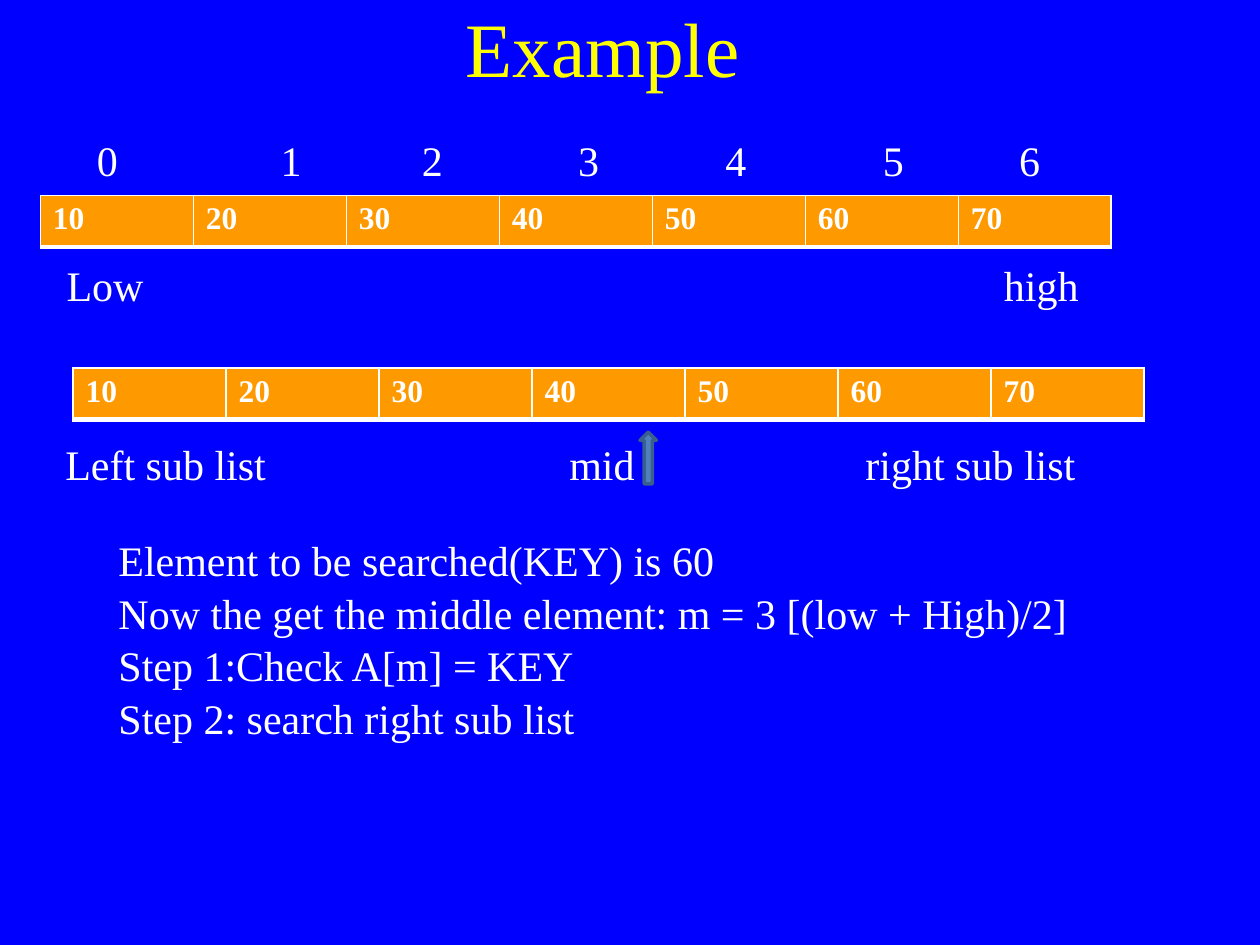
from dataclasses import dataclass

from lxml.etree import SubElement
from pptx import Presentation
from pptx.dml.color import RGBColor
from pptx.enum.shapes import MSO_SHAPE as Shape
from pptx.enum.text import MSO_ANCHOR as Anchor, MSO_AUTO_SIZE as Fit, PP_ALIGN as Align
from pptx.oxml.ns import qn
from pptx.util import Inches, Pt

BLUE = RGBColor(0x00, 0x00, 0xFF)
YELLOW = RGBColor(0xFF, 0xFF, 0x00)
WHITE = RGBColor(0xFF, 0xFF, 0xFF)
ORANGE = RGBColor(0xFF, 0x99, 0x00)
STEEL = RGBColor(0x4F, 0x81, 0xBD)
NAVY = RGBColor(0x3A, 0x5F, 0x8C)
FONT = "Times New Roman"
VALUES = range(10, 80, 10)
BORDERS = {"a:lnL": 0.96, "a:lnR": 0.96, "a:lnT": 0.96, "a:lnB": 3}


@dataclass
class Label:
    left: float
    top: float
    width: float
    text: str
    tabs: list[float]


@dataclass
class Array:
    left: float
    top: float


LABELS = [
    Label(0.58, 1, 8.5, "\t" + "\t".join(map(str, range(7))),
          [0.09, 1.55, 2.67, 3.91, 5.08, 6.33, 7.41]),
    Label(0.43, 1.99, 8.4, "Low\thigh", [7.44]),
    Label(0.42, 3.41, 8.67, "Left sub list\tmid\tright sub list", [4, 6.35]),
]
ARRAYS = [Array(0.32, 1.55), Array(0.58, 2.92)]
STEPS = [
    "Element to be searched(KEY) is 60",
    "Now the get the middle element: m = 3 [(low + High)/2]",
    "Step 1:Check A[m] = KEY",
    "Step 2: search right sub list",
]


def place(shape, left: float, top: float, width: float, height: float) -> None:
    shape.left, shape.top = Inches(left), Inches(top)
    shape.width, shape.height = Inches(width), Inches(height)


def style(frame, size: float, color: RGBColor = WHITE, bold: bool = False) -> None:
    for para in frame.paragraphs:
        for run in para.runs:
            run.font.name, run.font.size = FONT, Pt(size)
            run.font.bold, run.font.color.rgb = bold, color


def add_label(slide, label: Label) -> None:
    box = slide.shapes.add_textbox(0, 0, 0, 0)
    place(box, label.left, label.top, label.width, 0.5)
    frame = box.text_frame
    frame.word_wrap = True
    frame.text = label.text
    para = frame.paragraphs[0]
    stops = SubElement(para._p.get_or_add_pPr(), qn("a:tabLst"))
    for pos in label.tabs:
        SubElement(stops, qn("a:tab"), pos=str(Inches(pos)), algn="l")
    para.line_spacing = 1.05
    style(frame, 24)


def add_borders(cell) -> None:
    props = cell._tc.get_or_add_tcPr()
    for spot, (tag, width) in enumerate(BORDERS.items()):
        line = SubElement(props, qn(tag), w=str(Pt(width)))
        fill = SubElement(line, qn("a:solidFill"))
        SubElement(fill, qn("a:srgbClr"), val=str(WHITE))
        props.insert(spot, line)


def add_array(slide, array: Array) -> None:
    frame = slide.shapes.add_table(1, len(VALUES), Inches(array.left), Inches(array.top),
                                   Inches(8.5), Inches(0.41))
    for cell, value in zip(frame.table.iter_cells(), VALUES):
        cell.text = str(value)
        style(cell.text_frame, 18, bold=True)
        cell.fill.solid()
        cell.fill.fore_color.rgb = ORANGE
        add_borders(cell)


def add_arrow(slide) -> None:
    arrow = slide.shapes.add_shape(Shape.UP_ARROW, 0, 0, 0, 0)
    place(arrow, 5.08, 3.43, 0.13, 0.41)
    arrow.shadow.inherit = False
    arrow.fill.solid()
    arrow.fill.fore_color.rgb = STEEL
    arrow.line.color.rgb = NAVY
    arrow.line.width = Pt(2)


def fill_title(slide) -> None:
    title = slide.shapes.title
    place(title, 0.61, 0.08, 8.5, 0.58)
    frame = title.text_frame
    frame.text = "Example "
    frame.auto_size = Fit.NONE
    frame.vertical_anchor = Anchor.MIDDLE
    frame.paragraphs[0].alignment = Align.CENTER
    style(frame, 44, YELLOW)


def fill_steps(slide) -> None:
    body = slide.placeholders[1]
    place(body, 0.84, 4.17, 7.83, 2.1)
    frame = body.text_frame
    frame.text = "\n".join(STEPS)
    frame.auto_size = Fit.NONE
    frame.word_wrap = True
    frame.vertical_anchor = Anchor.TOP
    for para in frame.paragraphs:
        props = para._p.get_or_add_pPr()
        props.set("marL", "0")
        props.set("indent", "0")
        SubElement(props, qn("a:buNone"))
        para.space_before = Pt(0)
        para.line_spacing = 1.05
    style(frame, 24)


def main() -> None:
    deck = Presentation()
    deck.slide_width, deck.slide_height = Inches(10), Inches(7.5)
    slide = deck.slides.add_slide(deck.slide_layouts[1])
    slide.background.fill.solid()
    slide.background.fill.fore_color.rgb = BLUE

    # Title and search steps
    fill_title(slide)
    fill_steps(slide)

    # Arrays with their index and range labels
    for array in ARRAYS:
        add_array(slide, array)
    for label in LABELS:
        add_label(slide, label)

    # Pointer to the middle element
    add_arrow(slide)
    deck.save("out.pptx")


if __name__ == "__main__":
    main()
